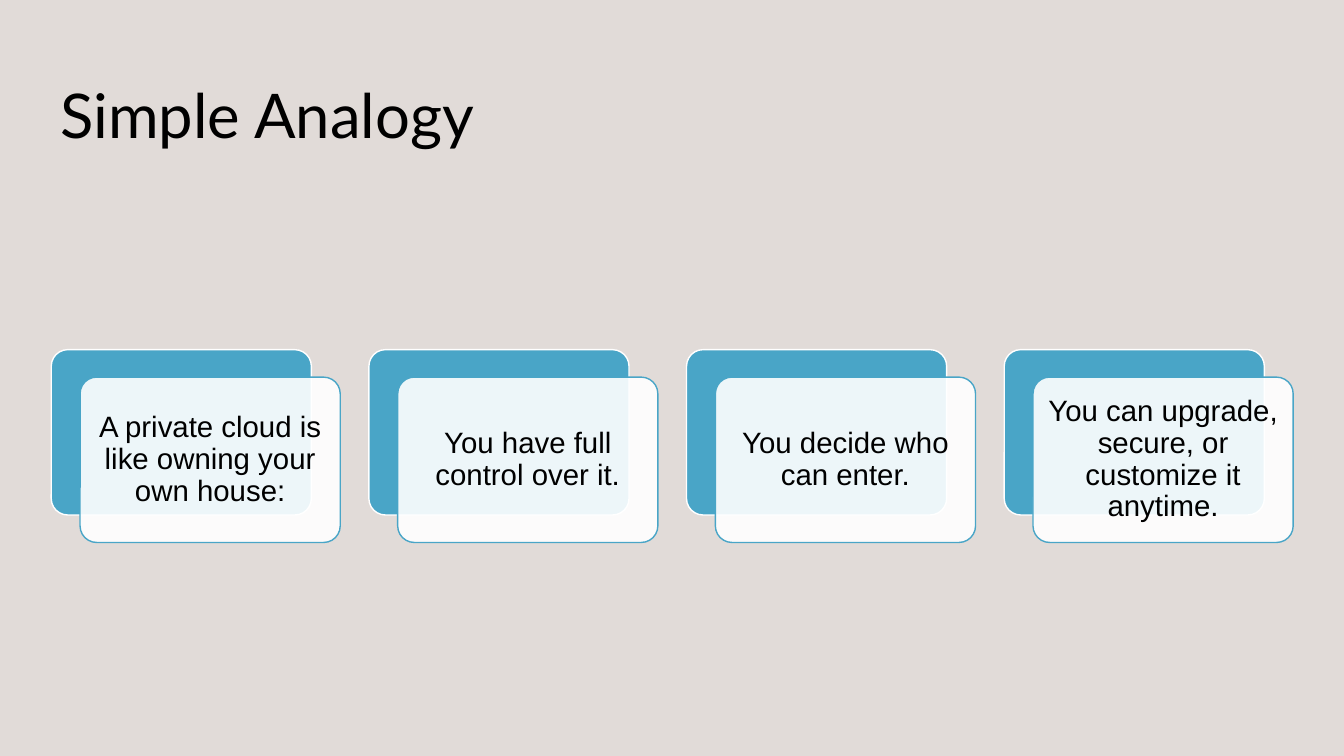
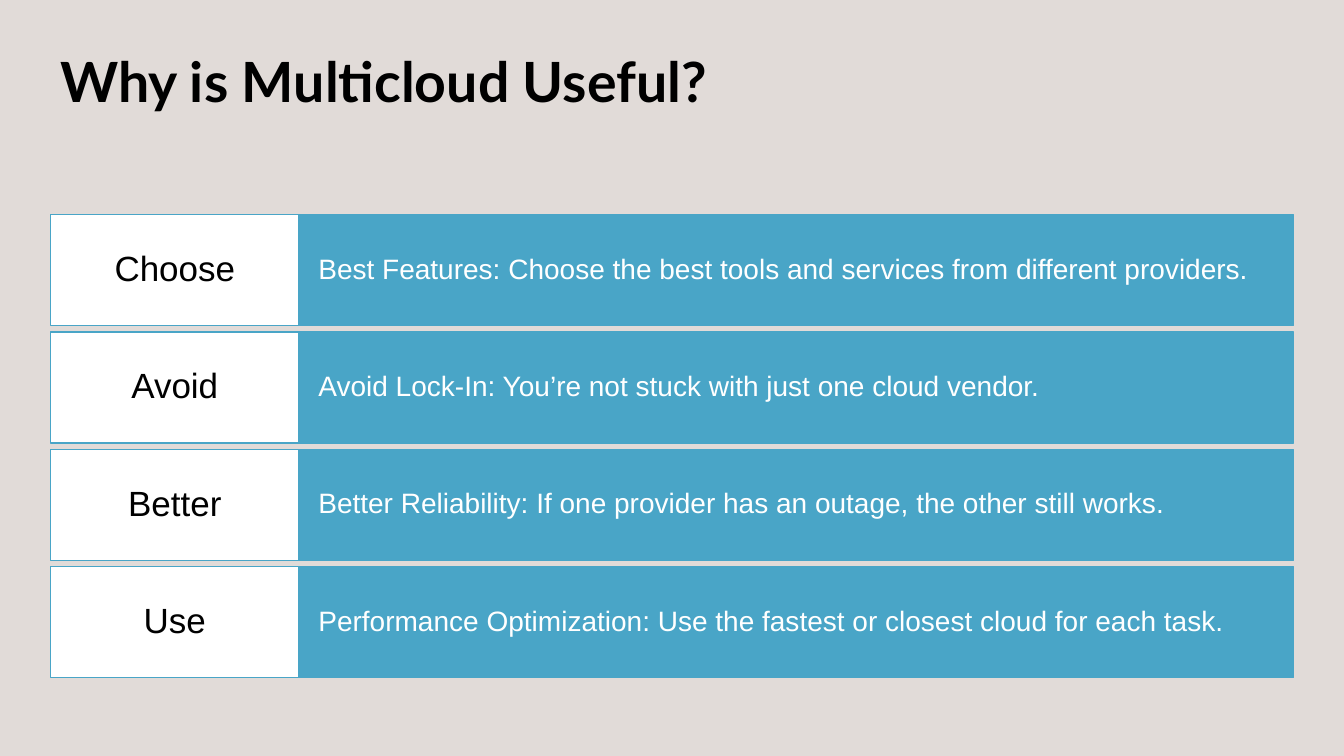
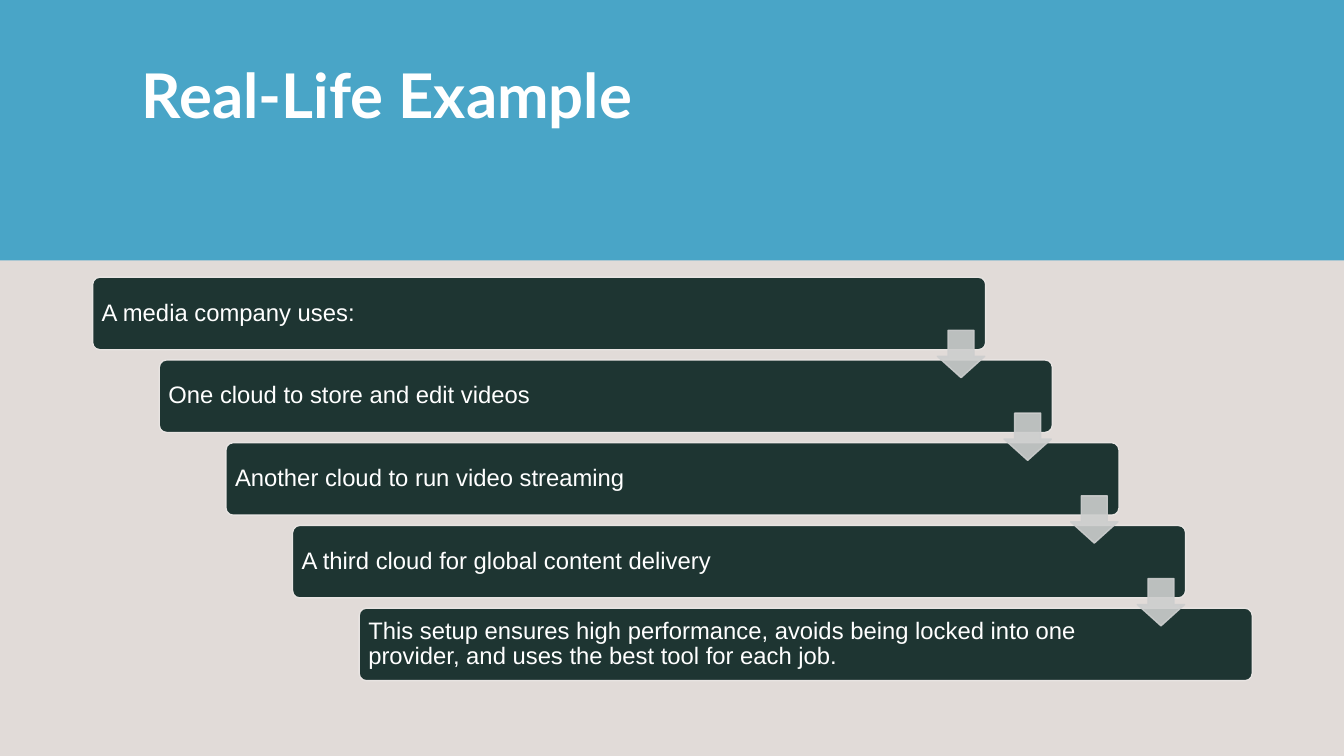
from lxml import etree
from pptx import Presentation
from pptx.dml.color import RGBColor
from pptx.enum.shapes import MSO_SHAPE
from pptx.enum.text import MSO_ANCHOR, PP_ALIGN
from pptx.oxml.ns import qn
from pptx.util import Pt

RECT = MSO_SHAPE.RECTANGLE
ROUND = MSO_SHAPE.ROUNDED_RECTANGLE
DOWN = MSO_SHAPE.DOWN_ARROW
LEFT = PP_ALIGN.LEFT
CENTER = PP_ALIGN.CENTER
MIDDLE = MSO_ANCHOR.MIDDLE

SAND = RGBColor(0xE1, 0xDB, 0xD8)
BLUE = RGBColor(0x49, 0xA5, 0xC7)
PINE = RGBColor(0x1E, 0x35, 0x32)
PALE = RGBColor(0xE8, 0xE4, 0xE2)
GRAY = RGBColor(0xCD, 0xCE, 0xCE)
WHITE = RGBColor(0xFF, 0xFF, 0xFF)
BLACK = RGBColor(0x00, 0x00, 0x00)

HEAD = "Lato"
BODY = "Arial"
WIDE, HIGH = 960, 540

CARDS = [
    "A private cloud is like owning your own house:",
    "You have full control over it.",
    "You decide who can enter.",
    "You can upgrade, secure, or customize it anytime.",
]
ROWS = [
    ("Choose", "Best Features: Choose the best tools and services from different providers."),
    ("Avoid", "Avoid Lock-In: You’re not stuck with just one cloud vendor."),
    ("Better", "Better Reliability: If one provider has an outage, the other still works."),
    ("Use", "Performance Optimization: Use the fastest or closest cloud for each task."),
]
STEPS = [
    "A media company uses:",
    "One cloud to store and edit videos",
    "Another cloud to run video streaming",
    "A third cloud for global content delivery",
    "This setup ensures high performance, avoids being locked into one "
    "provider, and uses the best tool for each job.",
]


def write(shape, text, size, color=BLACK, font=BODY, bold=False,
          align=LEFT, space=0.9, pads=(7.2, 3.6, 7.2, 3.6)):
    frame = shape.text_frame
    frame.word_wrap = True
    frame.vertical_anchor = MIDDLE
    (frame.margin_left, frame.margin_top,
     frame.margin_right, frame.margin_bottom) = map(Pt, pads)
    para = frame.paragraphs[0]
    para.alignment = align
    para.line_spacing = space
    run = para.add_run()
    run.text = text
    run.font.name = font
    run.font.size = Pt(size)
    run.font.bold = bold
    run.font.color.rgb = color


def fade(fill, share):
    tone = fill.find(".//" + qn("a:srgbClr"))
    etree.SubElement(tone, qn("a:alpha")).set("val", str(share * 1000))


def draw(slide, kind, box, fill, line=None, alpha=None, bends=()):
    shape = slide.shapes.add_shape(kind, *map(Pt, box))
    shape.shadow.inherit = False
    shape.fill.solid()
    shape.fill.fore_color.rgb = fill
    if line is None:
        shape.line.fill.background()
    else:
        shape.line.color.rgb = line
        shape.line.width = Pt(1)
    for spot, bend in enumerate(bends):
        shape.adjustments[spot] = bend
    if alpha:
        fade(shape.element.spPr.find(qn("a:solidFill")), alpha)
    return shape


def title(slide, text, box=(36, 28.8, 858.2, 104.4), size=44, lift=0, **style):
    shape = slide.shapes.add_textbox(*map(Pt, box))
    write(shape, text, size, font=HEAD, space=1,
          pads=(7.2, 3.6, 7.2, 3.6 + lift * size), **style)


def card(slide, text, left):
    top, wide, high = 249.8, 185.8, 118.1
    draw(slide, ROUND, (left, top, wide, high), BLUE, WHITE, bends=(0.1,))
    front = draw(slide, ROUND, (left + 20.6, top + 19.6, wide, high),
                 WHITE, BLUE, alpha=90, bends=(0.1,))
    write(front, text, 21, align=CENTER, pads=(6.3,) * 4)


def row(slide, label, text, top):
    left, split, right, high = 36, 213.7, 923.8, 79.2
    bar = draw(slide, RECT, (split, top, right - split, high), BLUE, BLUE)
    write(bar, text, 20, color=WHITE, pads=(13.7, 20, 13.7, 20))
    tag = draw(slide, RECT, (left, top, split - left, high), WHITE, BLUE)
    write(tag, label, 25, align=CENTER, pads=(9.4, 7.9, 9.4, 7.9))


def step(slide, text, left, top):
    bar = draw(slide, ROUND, (left, top, 637.9, 51.8), PINE, PALE, bends=(0.1,))
    write(bar, text, 17, color=WHITE, pads=(5, 5, 87, 5))


def arrow(slide, left, top):
    shape = draw(slide, DOWN, (left, top, 33.8, 33.8), GRAY, GRAY,
                 alpha=90, bends=(0.55, 0.45))
    fade(shape.element.spPr.find(qn("a:ln")), 90)


def house(slide):
    title(slide, "Simple Analogy")
    for spot, text in enumerate(CARDS):
        card(slide, text, 36.6 + 226.9 * spot)


def multi(slide):
    title(slide, "Why is Multicloud Useful?", size=39.6, lift=1.2, bold=True)
    for spot, (label, text) in enumerate(ROWS):
        row(slide, label, text, 153.4 + 83.8 * spot)


def media(slide):
    draw(slide, RECT, (0, 0, WIDE, 186), BLUE)
    title(slide, "Real-Life Example", box=(94.3, 30.2, 787.7, 126),
          lift=1.2, bold=True, color=WHITE)
    spots = [(66.2 + 47.6 * n, 198 + 59.1 * n) for n in range(len(STEPS))]
    for text, (left, top) in zip(STEPS, spots):
        step(slide, text, left, top)
    for left, top in spots[:-1]:
        arrow(slide, left + 603.4, top + 38)


def main():
    deck = Presentation()
    deck.slide_width, deck.slide_height = Pt(WIDE), Pt(HIGH)
    back = deck.slide_master.background.fill
    back.solid()
    back.fore_color.rgb = SAND
    for build in (house, multi, media):
        build(deck.slides.add_slide(deck.slide_layouts[6]))
    deck.save("out.pptx")


if __name__ == "__main__":
    main()
